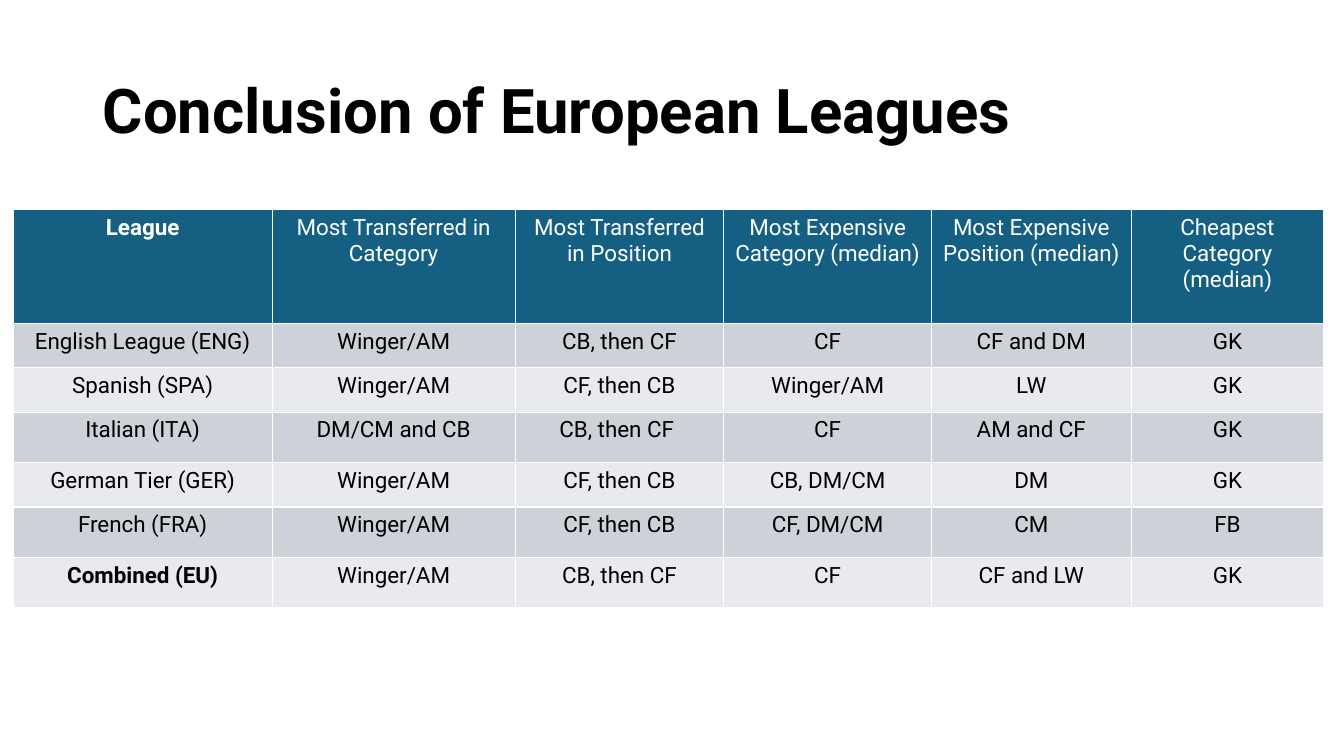
from lxml import etree
from pptx import Presentation
from pptx.dml.color import RGBColor
from pptx.enum.text import MSO_ANCHOR, PP_ALIGN
from pptx.oxml.ns import qn
from pptx.util import Inches, Pt

LEFT = PP_ALIGN.LEFT
CENTER = PP_ALIGN.CENTER
MIDDLE = MSO_ANCHOR.MIDDLE
FONT = "Roboto"
COLORS = {
    "text": "000000",
    "header_text": "FFFFFF",
    "header": "156082",
    "odd_row": "CCD2D8",
    "even_row": "E8EAED",
    "border": "FFFFFF",
}
COLUMN_WIDTHS = [2.57, 2.41, 2.07, 2.06, 1.98, 1.91]
ROW_HEIGHTS = [1.13, 0.44, 0.44, 0.5, 0.44, 0.5, 0.5]
LEAGUE_ROWS = [
    ["League", "Most Transferred in Category", "Most Transferred in Position",
     "Most Expensive Category (median)", "Most Expensive Position (median)",
     "Cheapest Category (median)"],
    ["English League (ENG)", "Winger/AM", "CB, then CF", "CF", "CF and DM", "GK"],
    ["Spanish (SPA)", "Winger/AM", "CF, then CB", "Winger/AM", "LW", "GK"],
    ["Italian (ITA)", "DM/CM and CB", "CB, then CF ", "CF", "AM and CF", "GK"],
    ["German Tier (GER)", "Winger/AM", "CF, then CB", "CB, DM/CM", "DM", "GK"],
    ["French (FRA)", "Winger/AM", "CF, then CB", "CF, DM/CM", "CM", "FB"],
    ["Combined (EU)", "Winger/AM", "CB, then CF", "CF", "CF and LW", "GK"],
]
BOLD_LABELS = {"League", "Combined (EU)"}


def add_run(paragraph, text, size, color, bold):
    run = paragraph.add_run()
    run.text = text
    run.font.name = FONT
    run.font.size = Pt(size)
    run.font.bold = bold
    run.font.color.rgb = RGBColor.from_string(COLORS[color])


def set_borders(cell):
    properties = cell._tc.get_or_add_tcPr()
    for side in "LRTB":
        line = etree.SubElement(properties, qn(f"a:ln{side}"), w=str(Pt(1)))
        fill = etree.SubElement(line, qn("a:solidFill"))
        etree.SubElement(fill, qn("a:srgbClr"), val=COLORS["border"])


def add_title(slide, text):
    title = slide.shapes.title
    title.left, title.top = Inches(0.92), Inches(0.4)
    title.width, title.height = Inches(11.5), Inches(1.45)
    title.text_frame.vertical_anchor = MIDDLE
    heading = title.text_frame.paragraphs[0]
    heading.alignment = LEFT
    heading.line_spacing = 0.9
    add_run(heading, text, 44, "text", True)


def fill_cell(cell, text, row_index):
    is_header = row_index == 0
    set_borders(cell)
    band = "header" if is_header else "odd_row" if row_index % 2 else "even_row"
    cell.fill.solid()
    cell.fill.fore_color.rgb = RGBColor.from_string(COLORS[band])
    paragraph = cell.text_frame.paragraphs[0]
    paragraph.alignment = CENTER
    add_run(paragraph, text, 16, "header_text" if is_header else "text",
            text in BOLD_LABELS)


def add_league_table(slide):
    table = slide.shapes.add_table(
        len(ROW_HEIGHTS), len(COLUMN_WIDTHS), Inches(0.13), Inches(2.08),
        Inches(sum(COLUMN_WIDTHS)), Inches(sum(ROW_HEIGHTS))).table
    for column, width in zip(table.columns, COLUMN_WIDTHS):
        column.width = Inches(width)
    for row_index, (row, height) in enumerate(zip(table.rows, ROW_HEIGHTS)):
        row.height = Inches(height)
        for cell, text in zip(row.cells, LEAGUE_ROWS[row_index]):
            fill_cell(cell, text, row_index)


def main():
    presentation = Presentation()
    presentation.slide_width = Inches(13.33)
    presentation.slide_height = Inches(7.5)
    slide = presentation.slides.add_slide(presentation.slide_layouts[5])
    add_title(slide, "Conclusion of European Leagues")
    add_league_table(slide)
    presentation.save("out.pptx")


if __name__ == "__main__":
    main()
